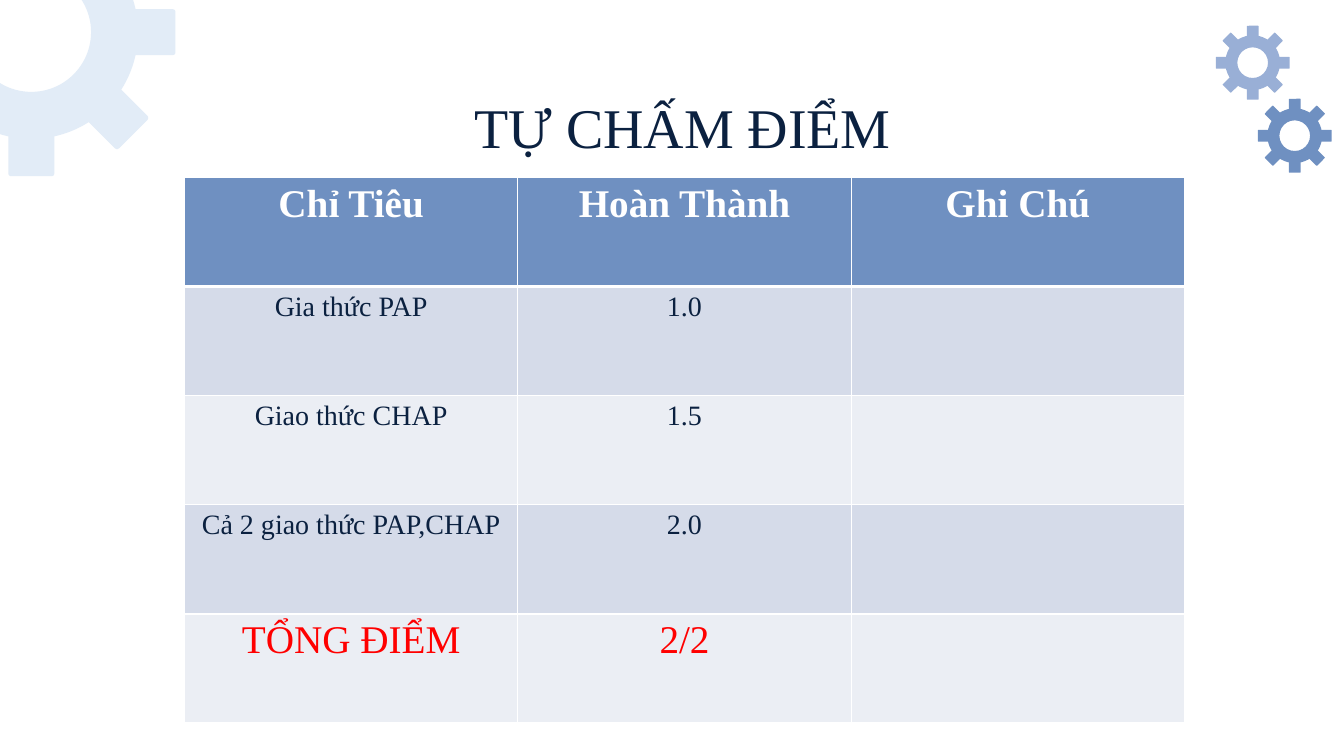
from dataclasses import dataclass
from math import cos, radians, sin

from lxml.etree import SubElement
from pptx import Presentation
from pptx.dml.color import RGBColor
from pptx.enum.shapes import MSO_SHAPE
from pptx.enum.text import PP_ALIGN
from pptx.oxml.ns import qn
from pptx.util import Cm, Pt


@dataclass(frozen=True)
class Theme:
    font: str = "Times New Roman"
    navy: str = "0B2140"
    white: str = "FFFFFF"
    red: str = "FF0000"
    pale_gear: str = "E2ECF7"
    light_gear: str = "99AFD6"
    blue: str = "6F90C1"
    bands: tuple = ("D5DBE9", "EBEEF4")
    title_size: int = 40
    large_size: int = 28
    body_size: int = 20


THEME = Theme()

SCORES = [
    ("Chỉ Tiêu", "Hoàn Thành", "Ghi Chú"),
    ("Gia thức PAP", "1.0", ""),
    ("Giao thức CHAP", "1.5", ""),
    ("Cả 2 giao thức PAP,CHAP", "2.0", ""),
    ("TỔNG ĐIỂM", "2/2", ""),
]


def write_text(frame, text, *, size, color, bold=False, align=PP_ALIGN.LEFT):
    paragraph = frame.paragraphs[0]
    paragraph.alignment = align
    run = paragraph.add_run()
    run.text = text
    run.font.name = THEME.font
    run.font.size = Pt(size)
    run.font.bold = bold
    run.font.color.rgb = RGBColor.from_string(color)


def add_gear_part(slide, preset, x, y, width, height, color, rounding):
    """Place one filled shape centred on x, y (cm)."""
    part = slide.shapes.add_shape(
        preset, Cm(x - width / 2), Cm(y - height / 2), Cm(width), Cm(height))
    part.adjustments[0] = rounding
    part.shadow.inherit = False
    part.fill.solid()
    part.fill.fore_color.rgb = RGBColor.from_string(color)
    part.line.fill.background()
    return part


def add_gear(slide, x, y, radius, color, angles=range(0, 360, 45)):
    """Draw a ring with one tooth at each angle, all in proportion to radius."""
    add_gear_part(slide, MSO_SHAPE.DONUT, x, y, 2 * radius, 2 * radius, color, 0.22)
    for angle in angles:
        reach = 1.14 * radius
        tooth = add_gear_part(
            slide, MSO_SHAPE.ROUNDED_RECTANGLE,
            x + reach * cos(radians(angle)), y + reach * sin(radians(angle)),
            0.42 * radius, 0.43 * radius, color, 0.06)
        tooth.rotation = angle


def add_borders(cell, bottom=1, top=1):
    properties = cell._tc.get_or_add_tcPr()
    for side, points in (("L", 1), ("R", 1), ("T", top), ("B", bottom)):
        border = SubElement(properties, qn(f"a:ln{side}"), w=str(Pt(points)))
        fill = SubElement(border, qn("a:solidFill"))
        SubElement(fill, qn("a:srgbClr"), val=THEME.white)


def add_score_table(slide, rows, left, top, column_width, row_height):
    columns = len(rows[0])
    table = slide.shapes.add_table(
        len(rows), columns, Cm(left), Cm(top),
        Cm(column_width * columns), Cm(row_height * len(rows))).table
    header = dict(size=THEME.large_size, color=THEME.white, bold=True)
    body = dict(size=THEME.body_size, color=THEME.navy)
    total = dict(size=THEME.large_size, color=THEME.red)
    formats = [header] + [body] * (len(rows) - 2) + [total]

    for r, (row, text_format) in enumerate(zip(rows, formats)):
        band = THEME.bands[(r - 1) % 2] if r else THEME.blue
        for c, text in enumerate(row):
            cell = table.cell(r, c)
            add_borders(cell, bottom=1 if r else 3, top=3 if r == 1 else 1)
            cell.fill.solid()
            cell.fill.fore_color.rgb = RGBColor.from_string(band)
            if text:
                write_text(cell.text_frame, text, align=PP_ALIGN.CENTER, **text_format)


def add_title(slide, text, left, top, width, height):
    title = slide.shapes.add_textbox(Cm(left), Cm(top), Cm(width), Cm(height))
    title.text_frame.word_wrap = False
    write_text(title.text_frame, text, size=THEME.title_size, color=THEME.navy)


def main():
    deck = Presentation()
    deck.slide_width, deck.slide_height = Cm(33.87), Cm(19.05)
    slide = deck.slides.add_slide(deck.slide_layouts[6])

    # Corner gears; the large one shows only its lower right teeth
    add_gear(slide, 0.79, 0.81, 2.69, THEME.pale_gear, angles=(0, 45, 90))
    add_gear(slide, 31.57, 1.58, 0.69, THEME.light_gear)
    add_gear(slide, 32.63, 3.42, 0.69, THEME.blue)

    # Scores and heading
    add_score_table(slide, SCORES, 4.65, 4.47, 8.4, 2.75)
    add_title(slide, "TỰ CHẤM ĐIỂM", 11.71, 2.21, 11.13, 1.96)

    deck.save("out.pptx")


if __name__ == "__main__":
    main()
